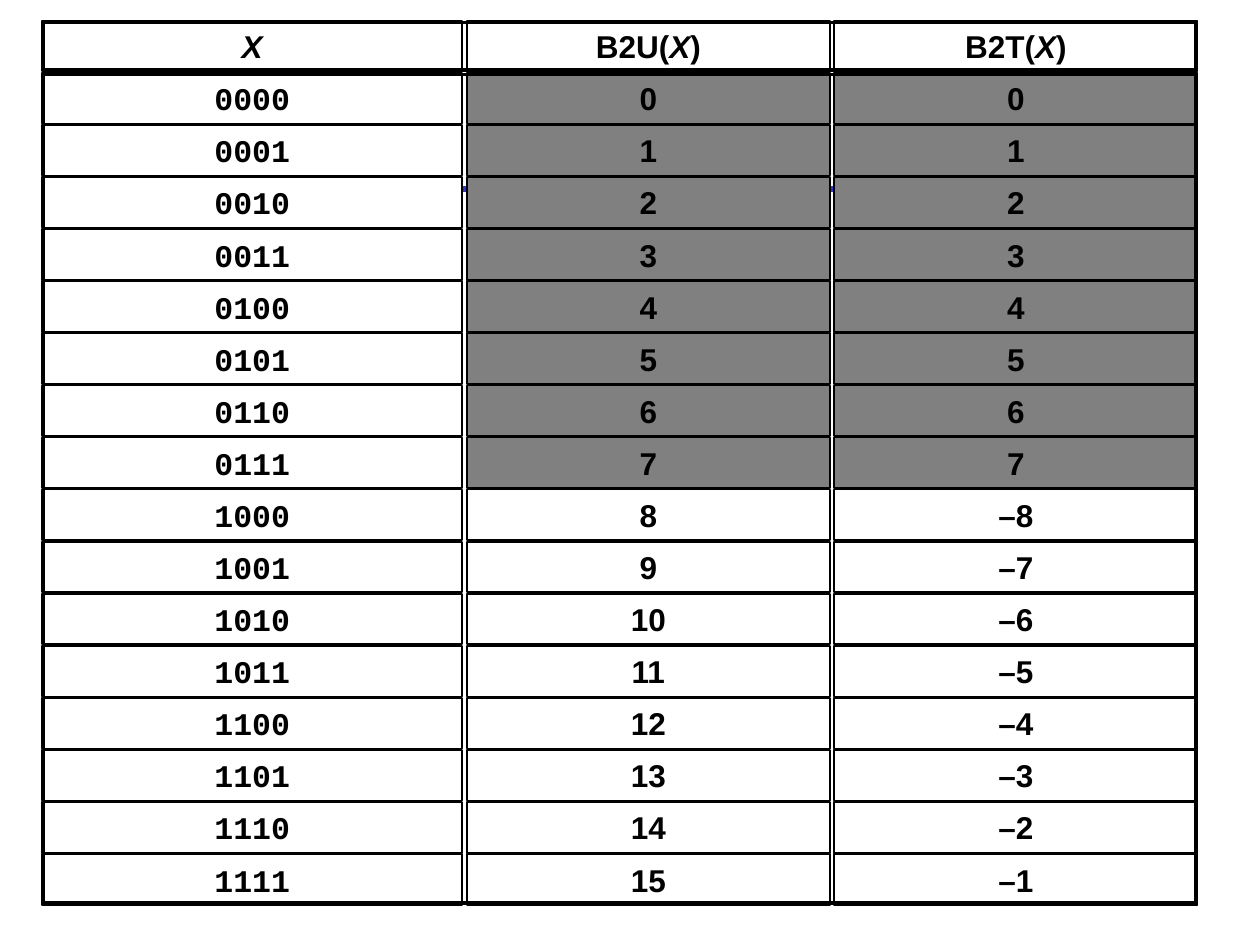
import pptx
import pptx.util
from pptx.util import Cm
from pptx.dml.color import RGBColor
from pptx.enum.shapes import MSO_CONNECTOR, MSO_SHAPE
from pptx.enum.text import MSO_ANCHOR, PP_ALIGN
from pptx.oxml.ns import qn
import lxml.etree

COLOURS = {"ink": "000000", "paper": "FFFFFF", "shared": "808080", "rule": "3333CC"}
BITS = 4
COLUMN_WIDTHS = (8.47, 7.32, 7.32)
COLUMN_GAP = 0.09
ROW_HEIGHT = 1.02
ROW_PITCH = 1.05
FRAME_INSET = 0.03


def colour(name):
    return RGBColor.from_string(COLOURS[name])


def add_rule(page, left, top, width):
    """Draw the coloured rule that lies behind the grid."""
    rule = page.shapes.add_connector(
        MSO_CONNECTOR.STRAIGHT, Cm(left), Cm(top), Cm(left + width), Cm(top))
    rule.line.color.rgb = colour("rule")
    rule.line.width = pptx.util.Pt(3)
    properties = rule._element.find(qn("p:spPr"))
    lxml.etree.SubElement(properties, qn("a:effectLst"))


def add_box(group, left, top, width, height, line_width, fill=None):
    box = group.shapes.add_shape(
        MSO_SHAPE.RECTANGLE, Cm(left), Cm(top), Cm(width), Cm(height))
    box.shadow.inherit = False
    box.line.color.rgb = colour("ink")
    box.line.width = pptx.util.Pt(line_width)
    if fill:
        box.fill.solid()
        box.fill.fore_color.rgb = colour(fill)
    else:
        box.fill.background()
    return box


def add_cell(group, left, top, width, text, font_name, fill):
    """Add one grid cell; every X in its text is set in italics."""
    box = add_box(group, left, top, width, ROW_HEIGHT, 1, fill)
    box.text_frame.word_wrap = False
    box.text_frame.vertical_anchor = MSO_ANCHOR.MIDDLE
    para = box.text_frame.paragraphs[0]
    para.alignment = PP_ALIGN.CENTER
    para.font.name = font_name
    para.font.size = pptx.util.Pt(18)
    para.font.bold = True
    para.font.color.rgb = colour("ink")
    before, variable, after = text.partition("X")
    for part in filter(None, (before, variable, after)):
        span = para.add_run()
        span.text = part
        if part == "X":
            span.font.italic = True


def add_frame(group, left, top, width, height):
    add_box(group, left + FRAME_INSET, top + FRAME_INSET,
            width - 2 * FRAME_INSET, height - 2 * FRAME_INSET, 2)


def encoding_rows():
    """List each bit pattern with its unsigned and two's complement values."""
    count = 2 ** BITS
    rows = [("X", "B2U(X)", "B2T(X)")]
    for value in range(count):
        signed = str(value) if value < count // 2 else f"–{count - value}"
        rows.append((f"{value:0{BITS}b}", str(value), signed))
    return rows


def add_encoding_grid(page, left, top):
    group = page.shapes.add_group_shape()
    rows = encoding_rows()

    # Cells: values equal in both encodings are shaded
    for row_index, row in enumerate(rows):
        cell_left = left
        for column, (text, width) in enumerate(zip(row, COLUMN_WIDTHS)):
            is_pattern = row_index > 0 and column == 0
            is_shared = column > 0 and row[1] == row[2]
            add_cell(group, cell_left, top + row_index * ROW_PITCH, width, text,
                     "Courier New" if is_pattern else "Arial",
                     "shared" if is_shared else "paper")
            cell_left += width + COLUMN_GAP

    # Heavy frames round the header and the body
    width = sum(COLUMN_WIDTHS) + COLUMN_GAP * (len(COLUMN_WIDTHS) - 1)
    add_frame(group, left, top, width, ROW_HEIGHT)
    body_height = (len(rows) - 2) * ROW_PITCH + ROW_HEIGHT
    add_frame(group, left, top + ROW_PITCH, width, body_height)


def main():
    deck = pptx.Presentation()
    deck.slide_width = Cm(25.4)
    deck.slide_height = Cm(19.05)
    page = deck.slides.add_slide(deck.slide_layouts[6])
    page.background.fill.solid()
    page.background.fill.fore_color.rgb = colour("paper")
    add_rule(page, 1.27, 3.81, 22.44)
    add_encoding_grid(page, 0.85, 0.42)
    deck.save("out.pptx")


if __name__ == "__main__":
    main()
